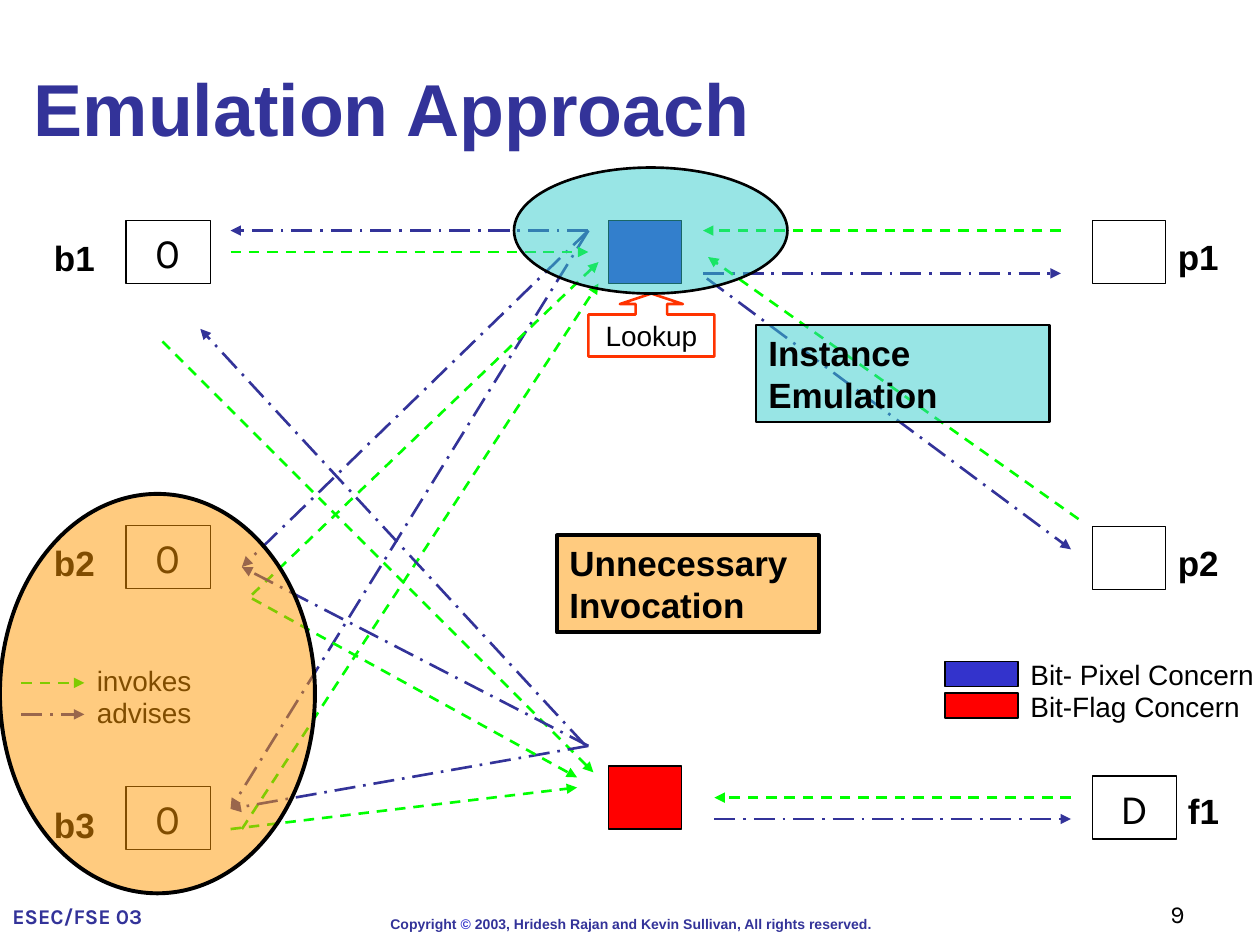
from dataclasses import dataclass

from lxml import etree
from pptx import Presentation
from pptx.dml.color import RGBColor
from pptx.enum.dml import MSO_LINE_DASH_STYLE as Dash
from pptx.enum.shapes import MSO_CONNECTOR as Link, MSO_SHAPE as Shape
from pptx.enum.text import MSO_ANCHOR as Anchor, PP_ALIGN as Align
from pptx.oxml.ns import qn
from pptx.util import Inches, Pt

COLORS = {
    "black": "000000", "white": "FFFFFF", "navy": "333399", "blue": "3333CC",
    "red": "FF0000", "green": "00FF00", "orange_red": "FF3300",
    "teal": "33CCCC", "orange": "FF9900",
}
LABEL = {"size": Pt(20), "bold": True}
LEGEND = {"size": Pt(16)}
STATE = {"size": Pt(24), "name": "Karla"}
COPYRIGHT = {"size": Pt(8), "bold": True}
LINK_STYLES = {"invokes": ("green", Dash.DASH), "advises": ("navy", Dash.LONG_DASH_DOT)}


@dataclass
class Box:
    left: float
    top: float
    width: float
    height: float

    def lengths(self) -> list:
        return [Inches(v) for v in (self.left, self.top, self.width, self.height)]


@dataclass
class Arrow:
    kind: str
    start: tuple
    end: tuple


def rgb(color: str) -> RGBColor:
    return RGBColor.from_string(COLORS[color])


def write(frame, runs: list, style: dict, align=Align.LEFT, anchor=Anchor.TOP, wrap=True) -> None:
    """Fill a text frame with one paragraph of (text, color) runs."""
    frame.word_wrap = wrap
    frame.vertical_anchor = anchor
    paragraph = frame.paragraphs[0]
    paragraph.alignment = align
    for text, color in runs:
        run = paragraph.add_run()
        run.text = text
        for name, value in ({"name": "Arial"} | style).items():
            setattr(run.font, name, value)
        run.font.color.rgb = rgb(color)


def add_text(slide, box: Box, text: str, style: dict, color="black", **layout) -> None:
    frame = slide.shapes.add_textbox(*box.lengths()).text_frame
    write(frame, [(text, color)], style, **layout)


def add_block(slide, box: Box, fill, kind=Shape.RECTANGLE, line="black", weight=0.75, alpha=None):
    block = slide.shapes.add_shape(kind, *box.lengths())
    block.shadow.inherit = False
    if fill:
        block.fill.solid()
        block.fill.fore_color.rgb = rgb(fill)
    else:
        block.fill.background()
    if alpha:
        color = block.fill._xPr.find(".//" + qn("a:srgbClr"))
        etree.SubElement(color, qn("a:alpha"), val=str(alpha * 1000))
    block.line.color.rgb = rgb(line)
    block.line.width = Pt(weight)
    return block


def add_arrow(slide, arrow: Arrow) -> None:
    ends = [Inches(v) for v in (*arrow.start, *arrow.end)]
    connector = slide.shapes.add_connector(Link.STRAIGHT, *ends)
    color, dash = LINK_STYLES[arrow.kind]
    connector.line.color.rgb = rgb(color)
    connector.line.width = Pt(1.5)
    connector.line.dash_style = dash
    etree.SubElement(connector.line._get_or_add_ln(), qn("a:tailEnd"), type="triangle")
    etree.SubElement(connector._element.spPr, qn("a:effectLst"))


# Components: box, fill, state shown inside
COMPONENTS = [
    (Box(1, 1.75, 0.67, 0.5), "white", "0"),
    (Box(1, 4.17, 0.67, 0.5), "white", "0"),
    (Box(8.67, 4.18, 0.58, 0.5), "white", ""),
    (Box(1, 6.24, 0.67, 0.5), "white", "0"),
    (Box(8.67, 1.75, 0.58, 0.5), "white", ""),
    (Box(8.67, 6.16, 0.67, 0.5), "white", "D"),
    (Box(4.83, 1.75, 0.58, 0.5), "blue", ""),
    (Box(4.83, 6.08, 0.58, 0.5), "red", ""),
]
NAMES = [
    ("b1", 0.33, 1.83), ("b2", 0.33, 4.25), ("b3", 0.33, 6.33),
    ("p1", 9.25, 1.82), ("p2", 9.25, 4.25), ("f1", 9.33, 6.22),
]
PIXEL_OUT, FLAG_OUT = (4.67, 1.83), (4.67, 5.92)
B2_IN, B3_IN = (1.92, 4.5), (1.83, 6.42)
ARROWS = [
    # Pixel concern and p1, p2
    Arrow("invokes", (8.42, 1.83), (5.58, 1.83)),
    Arrow("advises", (5.58, 2.17), (8.42, 2.17)),
    Arrow("advises", (5.61, 2.21), (8.5, 4.36)),
    Arrow("invokes", (8.56, 4.12), (5.62, 2.04)),
    # Pixel concern and b1, b2, b3
    Arrow("advises", PIXEL_OUT, (1.83, 1.83)),
    Arrow("advises", PIXEL_OUT, B2_IN),
    Arrow("advises", PIXEL_OUT, B3_IN),
    Arrow("invokes", (1.83, 2), (4.67, 2)),
    Arrow("invokes", (2, 4.72), (4.75, 2.08)),
    Arrow("invokes", (1.92, 6.58), (4.75, 2.25)),
    # Flag concern and f1
    Arrow("invokes", (8.5, 6.33), (5.67, 6.33)),
    Arrow("advises", (5.67, 6.5), (8.5, 6.5)),
    # Flag concern and b1, b2, b3
    Arrow("invokes", (1.29, 2.71), (4.71, 6.13)),
    Arrow("advises", (4.64, 5.91), (1.59, 2.61)),
    Arrow("advises", FLAG_OUT, B2_IN),
    Arrow("advises", FLAG_OUT, B3_IN),
    Arrow("invokes", (2, 4.75), (4.58, 6.17)),
    Arrow("invokes", (1.83, 6.58), (4.58, 6.25)),
]
# Highlights: ellipse, note box, note, color, line weight
HIGHLIGHTS = [
    (Box(4.08, 1.33, 2.17, 1), Box(6, 2.58, 2.33, 0.77), "Instance Emulation", "teal", 1.5),
    (Box(0, 3.92, 2.5, 3.17), Box(4.42, 4.25, 2.08, 0.77), "Unnecessary Invocation", "orange", 2.25),
]


def main() -> None:
    deck = Presentation()
    deck.slide_width, deck.slide_height = Inches(10), Inches(7.5)
    slide = deck.slides.add_slide(deck.slide_layouts[6])

    # Copyright line and title
    notice = slide.shapes.add_textbox(*Box(3, 7.22, 4.03, 0.24).lengths())
    write(notice.text_frame, [
        ("Copyright ", "navy"), ("©", "blue"),
        (" 2003, Hridesh Rajan and Kevin Sullivan, All rights reserved.", "navy"),
    ], COPYRIGHT, wrap=False)
    add_text(slide, Box(0.17, 0, 9.5, 1.25), "Emulation Approach",
             {"size": Pt(42), "bold": True}, "navy", anchor=Anchor.BOTTOM)

    # Components
    for box, fill, state in COMPONENTS:
        component = add_block(slide, box, fill)
        if state:
            write(component.text_frame, [(state, "black")], STATE, Align.CENTER)

    # Legend of arrows
    for row, (kind, width) in enumerate([("invokes", 1), ("advises", 2)]):
        y = 5.42 + 0.25 * row
        add_arrow(slide, Arrow(kind, (0.17, y), (0.67, y)))
        add_text(slide, Box(0.67, y - 0.2, width, 0.37), kind, LEGEND)

    for arrow in ARROWS:
        add_arrow(slide, arrow)

    # Lookup callout
    lookup = add_block(slide, Box(4.67, 2.33, 1, 0.5), None, Shape.UP_ARROW_CALLOUT, "orange_red", 1.5)
    for index, value in enumerate([0.5, 0.5, 0.167, 0.667]):
        lookup.adjustments[index] = value
    write(lookup.text_frame, [("Lookup", "black")], LEGEND, Align.CENTER, Anchor.MIDDLE, False)

    for name, left, top in NAMES:
        add_text(slide, Box(left, top, 0.67, 0.44), name, LABEL)

    # Translucent highlights with their notes
    for area, note_box, note, color, weight in HIGHLIGHTS:
        add_block(slide, area, color, Shape.OVAL, weight=weight, alpha=50)
        remark = add_block(slide, note_box, color, weight=weight, alpha=50)
        write(remark.text_frame, [(note, "black")], LABEL)

    # Legend of concerns
    for row, (concern, color) in enumerate([("Bit- Pixel Concern", "blue"), ("Bit-Flag Concern", "red")]):
        y = 5.25 + 0.25 * row
        add_block(slide, Box(7.5, y, 0.58, 0.2), color)
        add_text(slide, Box(8.08, y - 0.08, 2.25, 0.37), concern, LEGEND)

    # Footer
    add_text(slide, Box(0, 6.92, 1.42, 0.5), "ESEC/FSE 03",
             {"size": Pt(12), "name": "Karla", "bold": True}, "navy", anchor=Anchor.BOTTOM)
    add_text(slide, Box(7.42, 6.92, 2.08, 0.5), "9",
             {"size": Pt(14), "name": "Karla"}, align=Align.RIGHT, anchor=Anchor.BOTTOM)

    deck.save("out.pptx")


if __name__ == "__main__":
    main()
